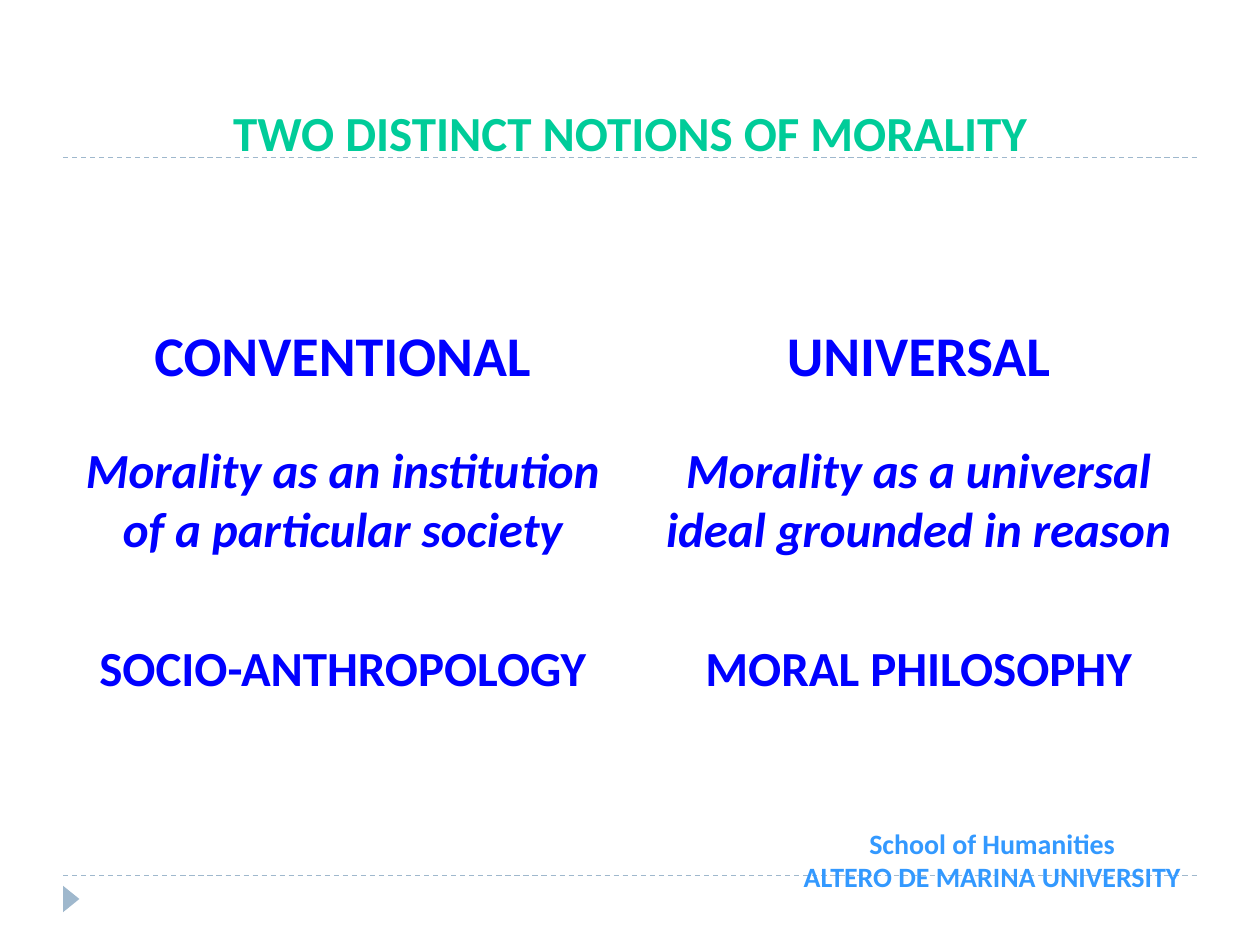
from dataclasses import dataclass

from lxml.etree import SubElement
from pptx import Presentation
from pptx.dml.color import RGBColor
from pptx.enum.dml import MSO_LINE
from pptx.enum.shapes import MSO_CONNECTOR as Connector, MSO_SHAPE as Preset
from pptx.enum.text import MSO_ANCHOR as Anchor, PP_ALIGN as Align
from pptx.oxml.ns import qn
from pptx.util import Inches, Pt

COLUMNS, ROWS = 100, 75
SLIDE_WIDTH, SLIDE_HEIGHT = Inches(10), Inches(7.5)
MARGIN = 5
FULL_WIDTH = COLUMNS - 2 * MARGIN
NOTION_WIDTH = 44.2
RULE_ROWS = (69.5, 12.5)

WHITE, BLUE, GREEN = "FFFFFF", "0000FF", "00CC99"
SKY, STEEL = "3399FF", "9FB8CD"


@dataclass(frozen=True)
class Box:
    column: float
    row: float
    columns: float
    rows: float

    def lengths(self) -> tuple[int, int, int, int]:
        return (across(self.column), down(self.row), across(self.columns), down(self.rows))


@dataclass(frozen=True)
class Notion:
    column: float
    name: str
    meaning: str
    discipline: str


NOTIONS = (
    Notion(5.1, "CONVENTIONAL", "Morality as an institution of a particular society",
           "SOCIO-ANTHROPOLOGY"),
    Notion(COLUMNS - MARGIN - NOTION_WIDTH, "UNIVERSAL",
           "Morality as a universal ideal grounded in reason", "MORAL PHILOSOPHY"),
)


def across(columns: float) -> int:
    return round(SLIDE_WIDTH * columns / COLUMNS)


def down(rows: float) -> int:
    return round(SLIDE_HEIGHT * rows / ROWS)


def color(value: str) -> RGBColor:
    return RGBColor.from_string(value)


def add_frame(slide, box: Box, anchor=Anchor.TOP, inset: float = 0.05, outline: str = ""):
    shape = slide.shapes.add_textbox(*box.lengths())
    frame = shape.text_frame
    frame.word_wrap = True
    frame.vertical_anchor = anchor
    frame.margin_top = frame.margin_bottom = Inches(inset)
    if outline:
        shape.line.color.rgb = color(outline)
        shape.line.width = Pt(0.75)
    return frame


def write(frame, text: str, *, size: float, fill: str, italic: bool = False,
          space_before: float = 0) -> None:
    paragraph = frame.add_paragraph() if frame.text else frame.paragraphs[0]
    paragraph.text = text
    paragraph.alignment = Align.CENTER
    paragraph.space_before = Pt(space_before)
    for run in paragraph.runs:
        run.font.name = "Calibri"
        run.font.size = Pt(size)
        run.font.bold = True
        run.font.italic = italic
        run.font.color.rgb = color(fill)


def add_rule(slide, row: float) -> None:
    rule = slide.shapes.add_connector(Connector.STRAIGHT, across(MARGIN), down(row),
                                      across(COLUMNS - MARGIN), down(row))
    rule.line.color.rgb = color(STEEL)
    rule.line.width = Pt(0.75)
    rule.line.dash_style = MSO_LINE.DASH
    SubElement(rule._element.spPr, qn("a:effectLst"))


def add_marker(slide, box: Box) -> None:
    marker = slide.shapes.add_shape(Preset.ISOSCELES_TRIANGLE, *box.lengths())
    marker.rotation = 90
    marker.shadow.inherit = False
    marker.fill.solid()
    marker.fill.fore_color.rgb = color(STEEL)
    marker.line.fill.background()


def add_notion(slide, notion: Notion) -> None:
    heading = add_frame(slide, Box(notion.column, 23.3, NOTION_WIDTH, 7.5),
                        Anchor.BOTTOM, inset=0, outline=WHITE)
    write(heading, notion.name, size=32, fill=BLUE)
    body = add_frame(slide, Box(notion.column, 34.4, NOTION_WIDTH, 27.6), outline=WHITE)
    write(body, notion.meaning, size=28, fill=BLUE, italic=True)
    write(body, notion.discipline, size=28, fill=BLUE, space_before=46)


def main() -> None:
    presentation = Presentation()
    presentation.slide_width, presentation.slide_height = SLIDE_WIDTH, SLIDE_HEIGHT
    slide = presentation.slides.add_slide(presentation.slide_layouts[6])

    for row in RULE_ROWS:
        add_rule(slide, row)
    add_marker(slide, Box(4.6, 70.7, 2.1, 1.3))

    title = add_frame(slide, Box(MARGIN, 2.8, FULL_WIDTH, 10), Anchor.BOTTOM, inset=0)
    write(title, "TWO DISTINCT NOTIONS OF MORALITY", size=28, fill=GREEN)

    for notion in NOTIONS:
        add_notion(slide, notion)

    school = add_frame(slide, Box(62.6, 65.1, 32.3, 6.4))
    write(school, "School of Humanities\vALTERO DE MARINA UNIVERSITY", size=16, fill=SKY)

    presentation.save("out.pptx")


if __name__ == "__main__":
    main()
